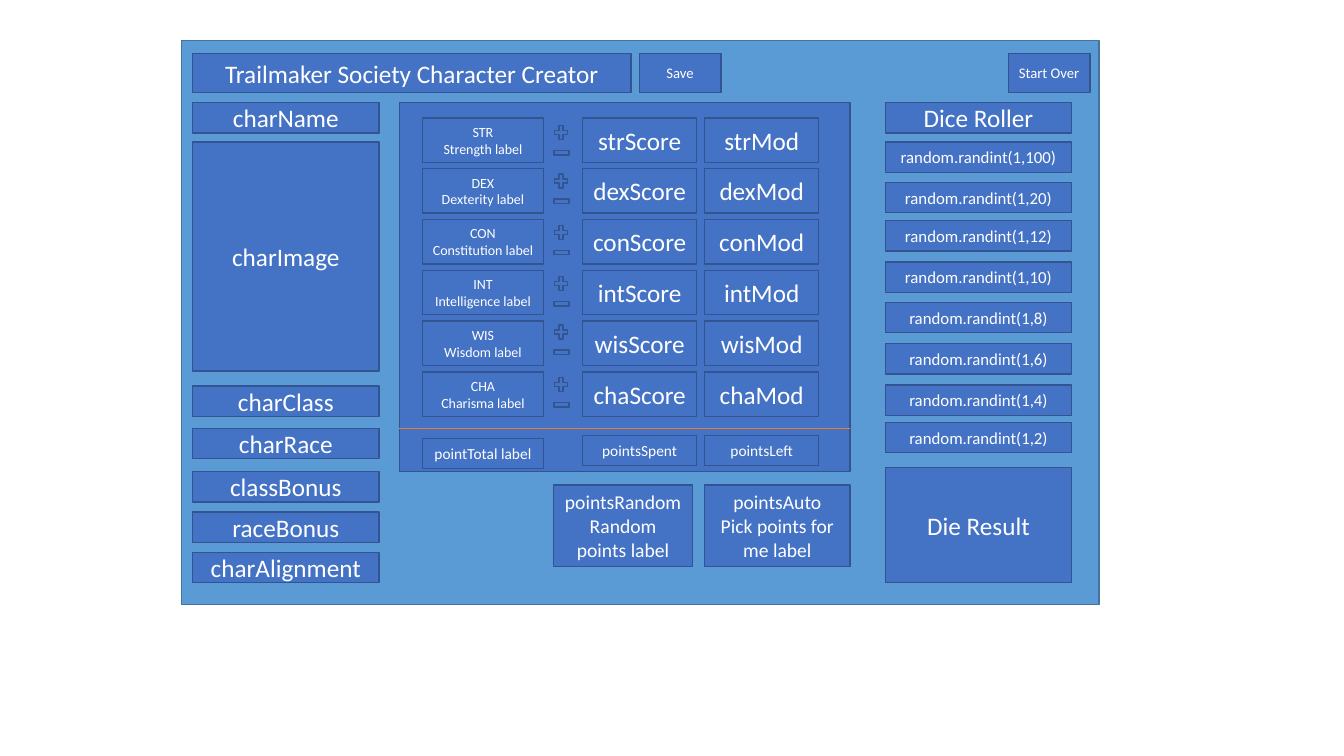
import pptx
import pptx.dml.color
import pptx.enum.shapes
import pptx.enum.text
import pptx.oxml.ns
import pptx.util
from lxml import etree

Inches = pptx.util.Inches
Pt = pptx.util.Pt
Kind = pptx.enum.shapes.MSO_SHAPE


def paint(code):
    return pptx.dml.color.RGBColor.from_string(code)


class Board:
    """Holds the style and the current slide."""
    blue, edge, white = "4472C4", "325491", "FFFFFF"
    font = {"name": "Calibri", "bold": False}
    frame = {"word_wrap": True,
             "vertical_anchor": pptx.enum.text.MSO_ANCHOR.MIDDLE}

    def __init__(self, slide):
        self.slide = slide

    def shape(self, x, y, w, h, kind=Kind.RECTANGLE, fill=blue, edge=edge):
        item = self.slide.shapes.add_shape(
            kind, Inches(x), Inches(y), Inches(w), Inches(h))
        item.shadow.inherit = False
        item.fill.solid()
        item.fill.fore_color.rgb = paint(fill)
        item.line.color.rgb = paint(edge)
        item.line.width = Pt(1)
        return item

    def box(self, text, x, y, w, h, size=18):
        body = self.shape(x, y, w, h).text_frame
        for key, value in self.frame.items():
            setattr(body, key, value)
        body.text = text
        for par in body.paragraphs:
            par.alignment = pptx.enum.text.PP_ALIGN.CENTER
            for run in par.runs:
                for key, value in {**self.font, "size": Pt(size)}.items():
                    setattr(run.font, key, value)
                run.font.color.rgb = paint(self.white)

    def rule(self, x1, y1, x2, y2, hue, width):
        line = self.slide.shapes.add_connector(
            pptx.enum.shapes.MSO_CONNECTOR.STRAIGHT,
            Inches(x1), Inches(y1), Inches(x2), Inches(y2))
        line.line.color.rgb = paint(hue)
        line.line.width = Pt(width)
        etree.SubElement(line._element.spPr,
                         pptx.oxml.ns.qn("a:effectLst"))


def main():
    deck = pptx.Presentation()
    deck.slide_width, deck.slide_height = Inches(13.33), Inches(7.5)
    board = Board(deck.slides.add_slide(deck.slide_layouts[6]))

    # Window and score panel
    board.shape(1.8, 0.4, 9.1, 5.6, fill="5B9BD5", edge="43739E")
    board.shape(3.96, 1.02, 4.47, 3.66)

    # Header
    top, high = 0.53, 0.39
    board.box("Trailmaker Society Character Creator", 1.91, top, 4.35, high)
    for text, x in (("Save", 6.34), ("Start Over", 10)):
        board.box(text, x, top, 0.81, high, 10.5)

    # Hero details on the left
    left, wide, row = 1.91, 1.85, 0.3
    board.box("charImage", left, 1.41, wide, 2.27)
    for text, y in (("charName", 1.02), ("charClass", 3.83),
                    ("charRace", 4.25), ("classBonus", 4.68),
                    ("raceBonus", 5.08), ("charAlignment", 5.48)):
        board.box(text, left, y, wide, row)

    # Score grid: label, plus and minus, score, modifier
    label, score, mod = (4.19, 1.2), (5.78, 1.13), (6.99, 1.13)
    stats = (("Strength", 1.22), ("Dexterity", 1.7), ("Constitution", 2.21),
             ("Intelligence", 2.72), ("Wisdom", 3.2), ("Charisma", 3.72))
    for i, (name, plus) in enumerate(stats):
        y, high = 1.17 + 0.504 * i, 0.44
        short = name[:3]
        board.box(f"{short.upper()}\n{name} label",
                  label[0], y, label[1], high, 10)
        board.shape(5.48, plus, 0.17, 0.19, Kind.MATH_PLUS)
        board.shape(5.47, plus + 0.2, 0.2, 0.19, Kind.MATH_MINUS)
        for (x, w), end in ((score, "Score"), (mod, "Mod")):
            board.box(short.lower() + end, x, y, w, high)

    # Points below the grid
    board.rule(3.96, 4.25, 8.43, 4.25, "ED7D31", 0.5)
    for text, (x, w), y in (("pointTotal label", label, 4.35),
                            ("pointsSpent", score, 4.32),
                            ("pointsLeft", mod, 4.32)):
        board.box(text, x, y, w, row, 11)
    for text, x, w in (("pointsRandom\nRandom points label", 5.49, 1.38),
                       ("pointsAuto\nPick points for me label", 6.99, 1.44)):
        board.box(text, x, 4.81, w, 0.81, 14)

    # Dice roller on the right
    right = 8.78
    board.box("Dice Roller", right, 1.02, wide, row)
    for sides, y in ((100, 1.41), (20, 1.81), (12, 2.19), (10, 2.6),
                     (8, 3), (6, 3.41), (4, 3.82), (2, 4.19)):
        board.box(f"random.randint(1,{sides})", right, y, wide, row, 12)
    board.box("Die Result", right, 4.64, wide, 1.14)

    deck.save("out.pptx")


if __name__ == "__main__":
    main()
